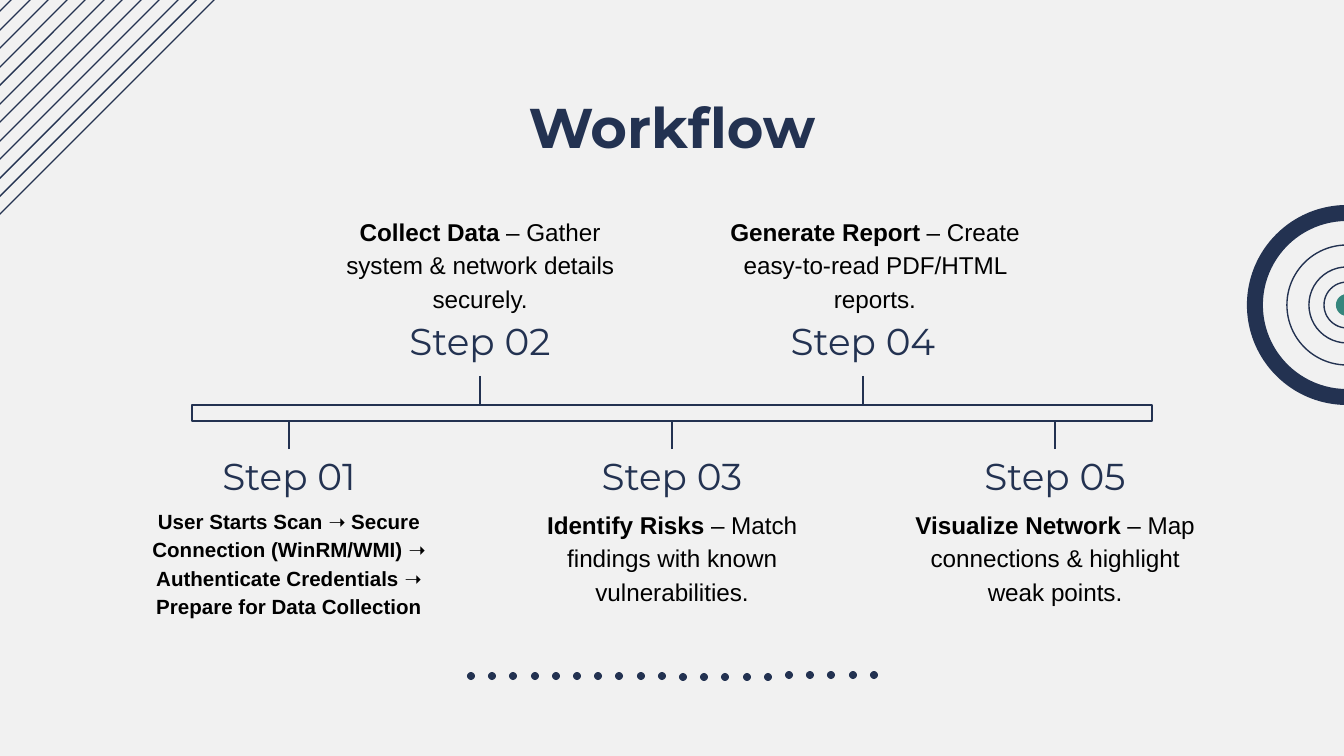
"""Build the Workflow timeline slide with five steps."""
from lxml import etree
from pptx import Presentation
from pptx.dml.color import RGBColor
from pptx.enum.shapes import MSO_CONNECTOR, MSO_SHAPE
from pptx.enum.text import MSO_ANCHOR, PP_ALIGN
from pptx.oxml.ns import qn
from pptx.util import Pt

STRAIGHT = MSO_CONNECTOR.STRAIGHT
RECT, OVAL, DONUT = MSO_SHAPE.RECTANGLE, MSO_SHAPE.OVAL, MSO_SHAPE.DONUT
TOP, BOTTOM = MSO_ANCHOR.TOP, MSO_ANCHOR.BOTTOM
CENTER = PP_ALIGN.CENTER
PX = 6804
rgb = RGBColor.from_string
NAVY, GREEN, BLACK, PAPER = "233251", "36867D", "000000", "F1F1F1"

prs = Presentation()
prs.slide_width, prs.slide_height = 1344 * PX, 756 * PX
s = prs.slides.add_slide(prs.slide_layouts[6])
s.background.fill.solid()
s.background.fill.fore_color.rgb = rgb(PAPER)


def add_text(runs, x, y, w, h, size=13, font="Arial", color=BLACK, anchor=TOP, spacing=None):
    """Add a centred text box from (text, bold) runs."""
    sp = s.shapes.add_textbox(x * PX, y * PX, w * PX, h * PX)
    tf = sp.text_frame
    tf.word_wrap = True
    tf.vertical_anchor = anchor
    tf.margin_left = tf.margin_right = tf.margin_top = tf.margin_bottom = Pt(7.2)
    p = tf.paragraphs[0]
    p.alignment = CENTER
    p.line_spacing = spacing
    for text, bold in runs:
        r = p.add_run()
        r.text = text
        r.font.size, r.font.name, r.font.bold = Pt(size), font, bold
        r.font.color.rgb = rgb(color)
    return sp


def add_line(x1, y1, x2, y2):
    """Add a thin navy straight line."""
    line = s.shapes.add_connector(STRAIGHT, x1 * PX, y1 * PX, x2 * PX, y2 * PX)
    line.line.color.rgb = rgb(NAVY)
    line.line.width = Pt(0.75)
    etree.SubElement(line._element.spPr, qn("a:effectLst"))
    return line


for i in range(12):
    x = -5 - 203 * i // 11
    add_line(x, 219, x + 293, -74)

shapes = []
for i in range(20):
    y = (672, 672, 673, 671)[i // 5]
    shapes.append((OVAL, 467 + round(21.2 * i), y, 8, 8, NAVY))
for kind, d, fill in [(OVAL, 120, None), (OVAL, 76, None), (OVAL, 22, GREEN),
                      (OVAL, 46, None), (DONUT, 200, NAVY)]:
    shapes.append((kind, 1347 - d // 2, 305 - d // 2, d, d, fill))
shapes.append((RECT, 192, 405, 960, 16, None))

for kind, x, y, w, h, fill in shapes:
    sp = s.shapes.add_shape(kind, x * PX, y * PX, w * PX, h * PX)
    sp.shadow.inherit = False
    if kind == DONUT:
        sp.adjustments[0] = 0.08
    if fill:
        sp.fill.solid()
        sp.fill.fore_color.rgb = rgb(fill)
        sp.line.fill.background()
    else:
        sp.fill.background()
        sp.line.color.rgb = rgb(NAVY)
        sp.line.width = Pt(0.75)
bar = sp

add_text([("Workflow", True)], 128, 79, 1088, 85, size=30, font="Montserrat", color=NAVY)

steps = [
    ("User Starts Scan ➝ Secure Connection (WinRM/WMI) ➝ "
     "Authenticate Credentials ➝ Prepare for Data Collection", "", 11, 314, 138),
    ("Collect Data", " – Gather system & network details securely.", 13, 314, 121),
    ("Identify Risks", " – Match findings with known vulnerabilities.", 13, 314, 89),
    ("Generate Report", " – Create easy-to-read PDF/HTML reports.", 13, 338, 121),
    ("Visualize Network", " – Map connections & highlight weak points.", 13, 314, 89),
]
for i, (lead, rest, size, w, h) in enumerate(steps):
    x = 289 + 383 * i // 2
    above = i % 2 == 1
    head_y, body_y, bar_y, site = (314, 199, 405, 2) if above else (449, 492, 421, 0)
    head = add_text([(f"Step {i + 1:02d}", False)], x - 157, head_y, 314, 62,
                    size=20, font="Montserrat", color=NAVY, anchor=BOTTOM)
    runs = [(text, bold) for text, bold in ((lead, True), (rest, False)) if text]
    add_text(runs, x - 157, body_y, w, h, size=size, spacing=1.15)
    tick = add_line(x, head_y, x, bar_y)
    tick.begin_connect(head, site)
    if x == 672:
        tick.end_connect(bar, 2)

prs.save("out.pptx")
